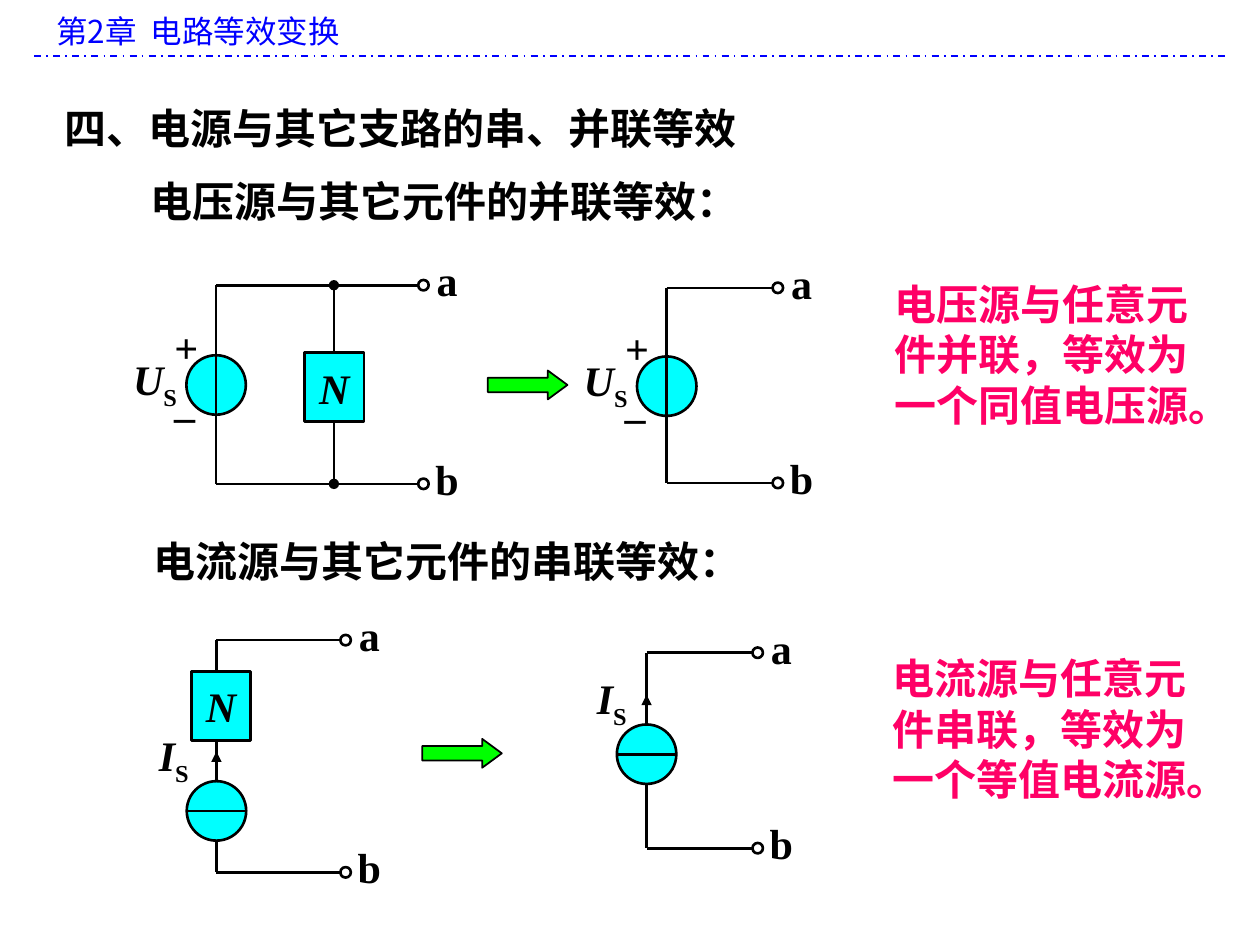
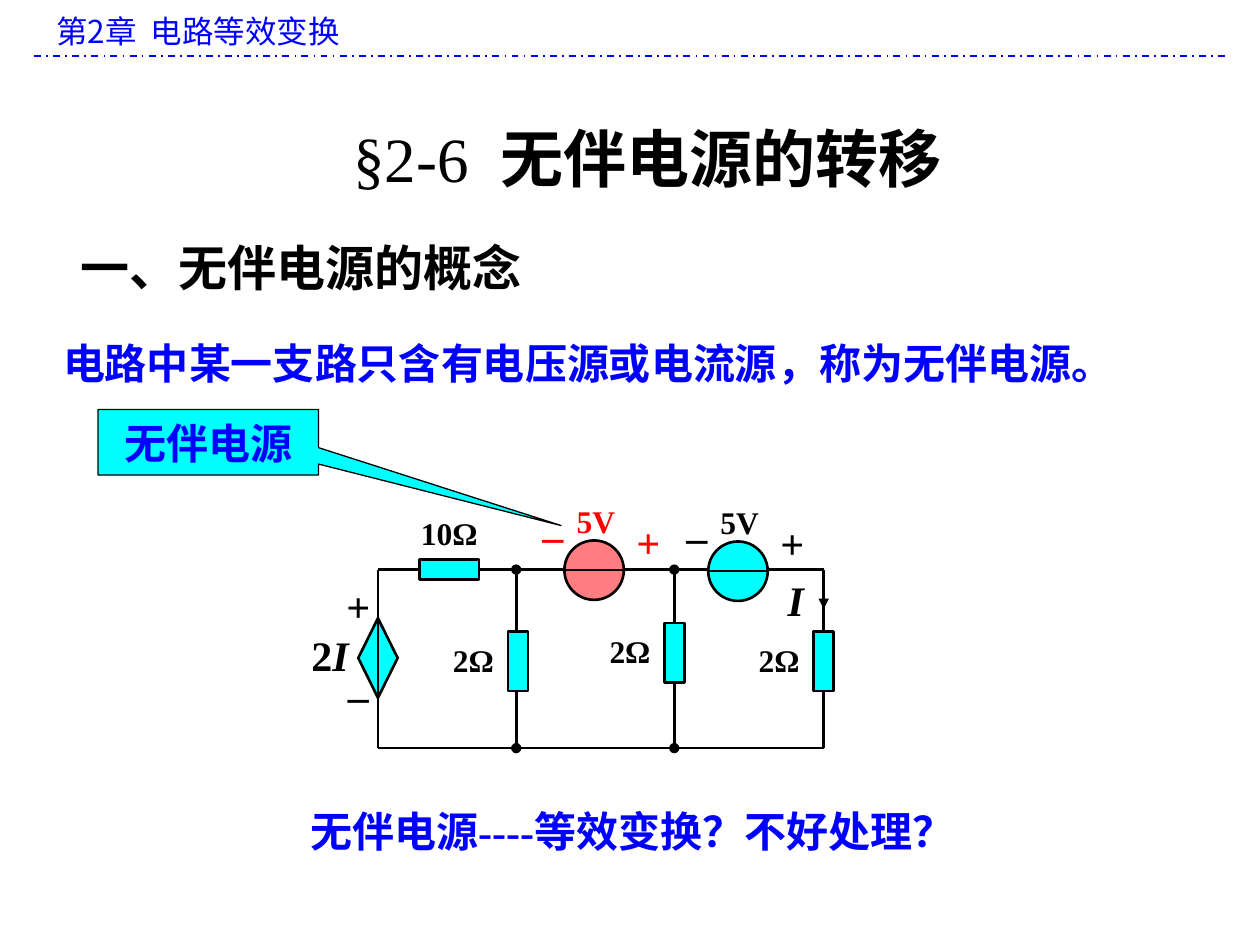
import pptx
import pptx.util
import pptx.dml.color
import pptx.enum.dml
import pptx.enum.shapes
import pptx.enum.text
import pptx.oxml.ns
import lxml.etree

Pt = pptx.util.Pt
SHAPE = pptx.enum.shapes.MSO_SHAPE
ALIGN = pptx.enum.text.PP_ALIGN
ANCHOR = pptx.enum.text.MSO_ANCHOR
DASH = pptx.enum.dml.MSO_LINE.DASH_DOT

COLORS = {
    "black": "000000", "blue": "0000FF", "cyan": "00FFFF", "green": "00FF00",
    "pink": "FF0066", "red": "FF0000", "rose": "FF7C80",
}
LATIN = "Times New Roman"
HAN = "Noto Sans CJK SC"
ROUND = 34  # diameter of a source, long side of a resistor
ITAL = {"ital": True}
SUB = {"ital": False, "base": -25000}


def hue(name):
    return pptx.dml.color.RGBColor.from_string(COLORS[name])


def add_xml(parent, tag, **attrs):
    return lxml.etree.SubElement(parent, pptx.oxml.ns.qn(tag), **attrs)


def write(frame, runs, size=24, color="black", bold=True, font=LATIN,
          align=ALIGN.LEFT, anchor=ANCHOR.TOP, wrap=True, inset=None, lead=None):
    """Fill a frame with one paragraph; runs are (text, format changes) pairs."""
    frame.word_wrap = wrap
    frame.vertical_anchor = anchor
    if inset is not None:
        frame.margin_left = frame.margin_right = Pt(inset)
        frame.margin_top = frame.margin_bottom = Pt(inset)
    para = frame.paragraphs[0]
    para.alignment = align
    if lead:
        para.line_spacing = lead
    for words, change in [(runs, {})] if isinstance(runs, str) else runs:
        run = para.add_run()
        run.text = words
        run.font.size = Pt(size)
        run.font.bold = change.get("bold", bold)
        run.font.italic = change.get("ital", False)
        run.font.color.rgb = hue(color)
        run.font.name = font
        props = run.font._element
        add_xml(props, "a:ea", typeface=HAN)
        if "base" in change:
            props.set("baseline", str(change["base"]))


def text(slide, x, y, w, h, runs, **style):
    box = slide.shapes.add_textbox(Pt(x), Pt(y), Pt(w), Pt(h))
    write(box.text_frame, runs, **style)


def mark(slide, x, y, runs, **style):
    """Put a short label with its centre at x, y."""
    text(slide, x - 24, y - 15, 48, 30, runs, align=ALIGN.CENTER,
         anchor=ANCHOR.MIDDLE, wrap=False, inset=0, **style)


def shape(slide, kind, x, y, w, h, fill=None, width=1.5):
    """Draw a preset shape with its centre at x, y."""
    item = slide.shapes.add_shape(kind, Pt(x - w / 2), Pt(y - h / 2), Pt(w), Pt(h))
    item.shadow.inherit = False
    if fill:
        item.fill.solid()
        item.fill.fore_color.rgb = hue(fill)
    else:
        item.fill.background()
    item.line.color.rgb = hue("black")
    item.line.width = Pt(width)
    return item


def wire(slide, x1, y1, x2, y2, head=None, tail=None, color="black", width=1.5,
         dash=None):
    line = slide.shapes.add_connector(
        pptx.enum.shapes.MSO_CONNECTOR.STRAIGHT, Pt(x1), Pt(y1), Pt(x2), Pt(y2))
    line.line.color.rgb = hue(color)
    line.line.width = Pt(width)
    if dash:
        line.line.dash_style = dash
    props = line._element.spPr
    stroke = props.find(pptx.oxml.ns.qn("a:ln"))
    if head:
        add_xml(stroke, "a:headEnd", type=head)
    if tail:
        add_xml(stroke, "a:tailEnd", type=tail)
    add_xml(props, "a:effectLst")


def source(slide, x, y, upright, fill="cyan"):
    """Draw a source circle with a line across it."""
    shape(slide, SHAPE.OVAL, x, y, ROUND, ROUND, fill)
    half = ROUND / 2
    if upright:
        wire(slide, x, y - half, x, y + half)
    else:
        wire(slide, x - half, y, x + half, y)


def volt(slide, x, y):
    source(slide, x, y, upright=True)
    mark(slide, x - 17, y - 22, "+")
    mark(slide, x - 18, y + 9, "_")
    text(slide, x - 54.5, y - 21.5, 53, 36, [("U", ITAL), ("S", SUB)])


def current(slide, x, y, gap):
    source(slide, x, y, upright=False)
    wire(slide, x, y - 17, x, y - 34, tail="triangle")
    text(slide, x - gap, y - 50, 43, 36, [("I", ITAL), ("S", SUB)])


def port(slide, x, top, low, end):
    """Draw a one-port: a wire on the left, leads to terminals a and b."""
    wire(slide, x, top, x, low)
    for y, name in ((top, "a"), (low, "b")):
        wire(slide, x, y, end, y)
        shape(slide, SHAPE.OVAL, end + 3, y, 6, 6)
        mark(slide, end + 16.5, y - 3, name)


def block(slide, x, y):
    item = shape(slide, SHAPE.RECTANGLE, x, y, ROUND, 39.5, "cyan")
    write(item.text_frame, [("N", ITAL)], align=ALIGN.CENTER,
          anchor=ANCHOR.MIDDLE, inset=0)


def arrow(slide, x, y):
    item = shape(slide, SHAPE.RIGHT_ARROW, x, y, 45.5, 16.5, "green", 1)
    item.adjustments[1] = 0.68


def branch(slide, x, top, low):
    wire(slide, x, top, x, low, head="oval", tail="oval")


def load(slide, x, y):
    """Draw an upright resistor of 2 ohms."""
    shape(slide, SHAPE.RECTANGLE, x, y, 11.5, ROUND, "cyan")
    mark(slide, x - 25.5, y - 1, "2Ω", size=18)


def cell(slide, x, y, fill, color):
    """Draw a lying 5 V source with its signs."""
    source(slide, x, y, upright=False, fill=fill)
    mark(slide, x + 1, y - 28, "5V", size=18, color=color)
    mark(slide, x - 23.5, y - 28, "_", color=color)
    mark(slide, x + 31, y - 16.5, "+", color=color)


def start(deck):
    """Add a slide with the chapter line on top."""
    slide = deck.slides.add_slide(deck.slide_layouts[6])
    text(slide, 25, 3.4, 675, 29, "第2章  电路等效变换", size=18, color="blue",
         bold=False, font=HAN)
    wire(slide, 19.5, 32, 700, 32, color="blue", width=1, dash=DASH)
    return slide


def draw_swaps(deck):
    slide = start(deck)
    text(slide, 30, 52, 652, 42, "四、电源与其它支路的串、并联等效",
         anchor=ANCHOR.MIDDLE)
    text(slide, 79, 100, 576, 27, "电压源与其它元件的并联等效：", lead=0.9)
    text(slide, 80.5, 302.5, 492, 30, "电流源与其它元件的串联等效：")
    notes = ((504, 155.5, "电压源与任意元件并联，等效为一个同值电压源。"),
             (503, 369.5, "电流源与任意元件串联，等效为一个等值电流源。"))
    for x, y, words in notes:
        text(slide, x, y, 183, 122, words, color="pink")

    port(slide, 123.5, 163, 276.5, 239)
    branch(slide, 190.8, 163, 276.5)
    block(slide, 191, 221.3)
    volt(slide, 123.5, 220)
    arrow(slide, 301.5, 220)
    port(slide, 381, 164.5, 276, 441.5)
    volt(slide, 381, 220.7)

    port(slide, 123.7, 365.8, 498.5, 194.5)
    block(slide, 126.3, 403.5)
    current(slide, 123.7, 463.4, 40)
    arrow(slide, 264, 430.5)
    port(slide, 369.5, 373, 484.7, 430)
    current(slide, 369.5, 431, 35.5)


def draw_lone(deck):
    slide = start(deck)
    text(slide, 34, 65, 672, 50, [("§2-6  ", {"bold": False}), ("无伴电源的转移", {})],
         size=36, align=ALIGN.CENTER)
    text(slide, 39, 132, 654, 41, "一、无伴电源的概念", size=28)
    text(slide, 36, 193, 649, 29, "电路中某一支路只含有电压源或电流源，称为无伴电源。",
         color="blue", inset=0)
    text(slide, 36.7, 460, 649, 29, "无伴电源----等效变换？不好处理？", color="blue",
         inset=0, align=ALIGN.CENTER)

    left, right, top, low = 216, 470.7, 325.5, 427.5
    shape(slide, SHAPE.DIAMOND, left, 376, 22.5, 45.5, "cyan")
    for x in (left, right):
        wire(slide, x, top, x, low)
    for y in (top, low):
        wire(slide, left, y, right, y)
    for x in (295, 385.3):
        branch(slide, x, top, low)
    for x, y in ((296, 378), (385.5, 373), (right, 378)):
        load(slide, x, y)
    shape(slide, SHAPE.RECTANGLE, 256.7, top, ROUND, 11.5, "cyan")
    mark(slide, 256.7, 304.6, "10Ω", size=18)
    cell(slide, 339.5, 325.8, "rose", "red")
    cell(slide, 421.7, 326.4, "cyan", "black")
    wire(slide, right, 336, right, 348, tail="triangle")
    mark(slide, 454.7, 342.7, [("I", ITAL)])
    mark(slide, 204.8, 346.3, "+")
    mark(slide, 204.8, 388.8, "_")
    mark(slide, 188.6, 374.4, [("2", {}), ("I", ITAL)])

    call = shape(slide, SHAPE.RECTANGULAR_CALLOUT, 119, 252.7, 126, 37.5, "cyan", 0.75)
    call.adjustments[0] = 1.6
    call.adjustments[1] = 1.27
    write(call.text_frame, "无伴电源", color="blue", align=ALIGN.CENTER,
          anchor=ANCHOR.MIDDLE, wrap=False)


def main():
    deck = pptx.Presentation()
    deck.slide_width, deck.slide_height = Pt(720), Pt(540)
    draw_swaps(deck)
    draw_lone(deck)
    deck.save("out.pptx")


if __name__ == "__main__":
    main()
